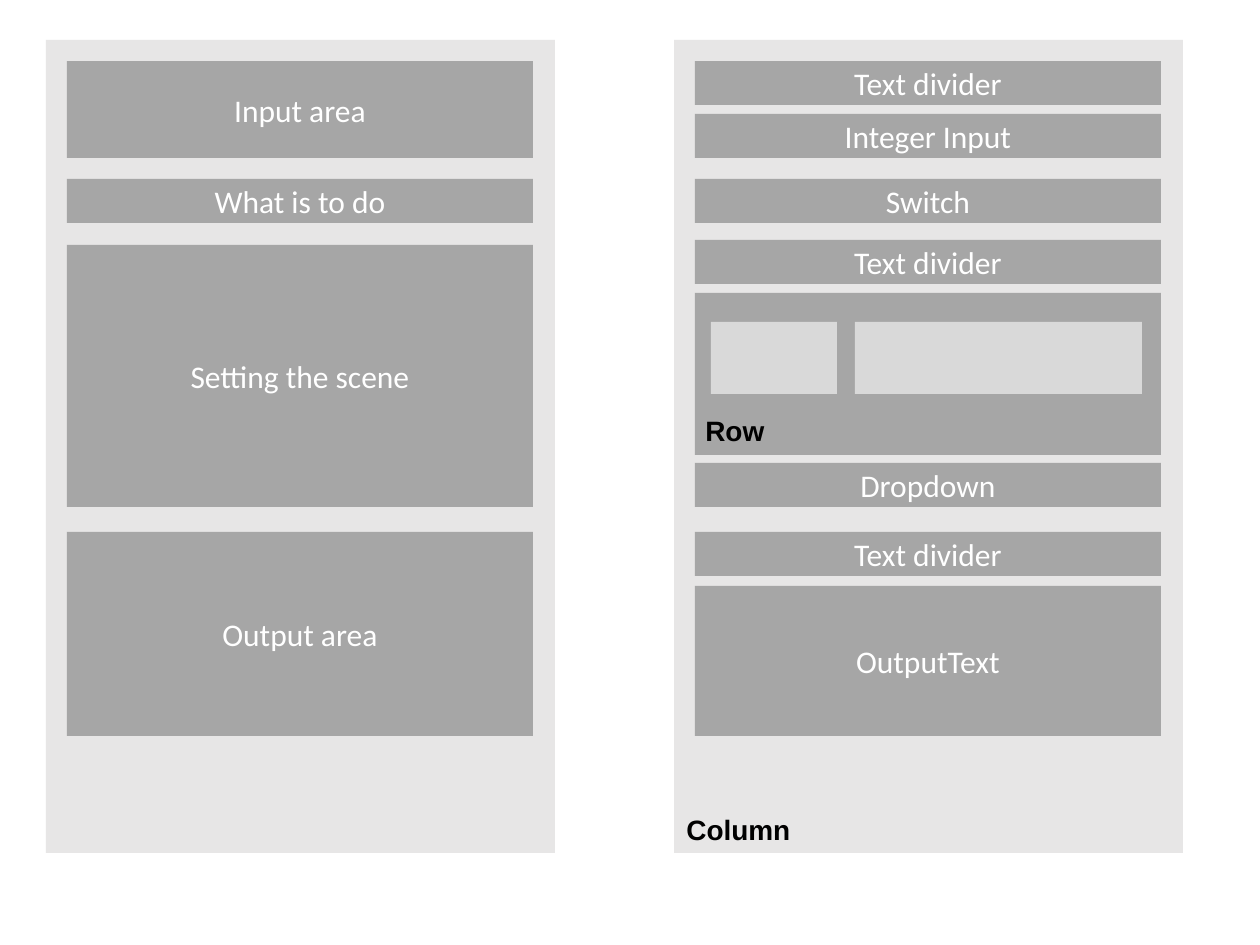
import pptx
import pptx.util
import pptx.dml.color
import pptx.enum.shapes
import pptx.enum.text

RGB = pptx.dml.color.RGBColor
PALE = RGB(0xE7, 0xE6, 0xE6)
GREY = RGB(0xA6, 0xA6, 0xA6)
LIGHT = RGB(0xD9, 0xD9, 0xD9)
WHITE = RGB(0xFF, 0xFF, 0xFF)
BLACK = RGB(0x00, 0x00, 0x00)

SCALE = 914400 / 126  # EMU per px
TOP, WIDE, TALL = 40, 509, 813  # panel
INSET = 21
BAR = 44
LEFT, RIGHT = 46, 674  # panel left edges

AREAS = [
    ("Input area", 61, 97),
    ("What is to do", 179, BAR),
    ("Setting the scene", 245, 262),
    ("Output area", 532, 204),
]
PARTS = [
    ("Text divider", 61, BAR),
    ("Integer Input", 114, BAR),
    ("Switch", 179, BAR),
    ("Text divider", 240, BAR),
    ("", 293, 162),
    ("Dropdown", 463, BAR),
    ("Text divider", 532, BAR),
    ("OutputText", 586, 150),
]
CELLS = [(711, 126), (855, 287)]  # left and width inside the row


def emu(*sizes):
    return [pptx.util.Emu(round(size * SCALE)) for size in sizes]


def write(frame, text, font="Calibri", size=18, color=WHITE, bold=False,
          align=pptx.enum.text.PP_ALIGN.CENTER):
    para = frame.paragraphs[0]
    para.alignment = align
    run = para.add_run()
    run.text = text
    run.font.name = font
    run.font.size = pptx.util.Pt(size)
    run.font.color.rgb = color
    run.font.bold = bold


class Board:
    """Holds the style and the current slide."""

    def __init__(self, slide):
        self.slide = slide
        self.tag = dict(font="Arial", size=16, color=BLACK, bold=True,
                        align=pptx.enum.text.PP_ALIGN.LEFT)

    def block(self, left, top, wide, tall, fill, text=""):
        shape = self.slide.shapes.add_shape(
            pptx.enum.shapes.MSO_SHAPE.RECTANGLE, *emu(left, top, wide, tall))
        shape.shadow.inherit = False
        shape.fill.solid()
        shape.fill.fore_color.rgb = fill
        shape.line.fill.background()
        if text:
            shape.text_frame.vertical_anchor = pptx.enum.text.MSO_ANCHOR.MIDDLE
            write(shape.text_frame, text)

    def panel(self, left, rows):
        self.block(left, TOP, WIDE, TALL, PALE)
        for text, top, tall in rows:
            self.block(left + INSET, top, WIDE - 2 * INSET - 1, tall, GREY, text)

    def label(self, left, top, wide, text):
        box = self.slide.shapes.add_textbox(*emu(left, top, wide, 47))
        frame = box.text_frame
        frame.word_wrap = False
        frame.auto_size = pptx.enum.text.MSO_AUTO_SIZE.SHAPE_TO_FIT_TEXT
        write(frame, text, **self.tag)


def main():
    deck = pptx.Presentation()
    deck.slide_width = pptx.util.Inches(10)
    deck.slide_height = pptx.util.Inches(7.5)
    board = Board(deck.slides.add_slide(deck.slide_layouts[6]))
    board.panel(LEFT, AREAS)
    board.panel(RIGHT, PARTS)
    for left, wide in CELLS:
        board.block(left, 322, wide, 72, LIGHT)
    board.label(693, 407, 86, "Row")
    board.label(RIGHT, 806, 131, "Column")
    deck.save("out.pptx")


if __name__ == "__main__":
    main()
